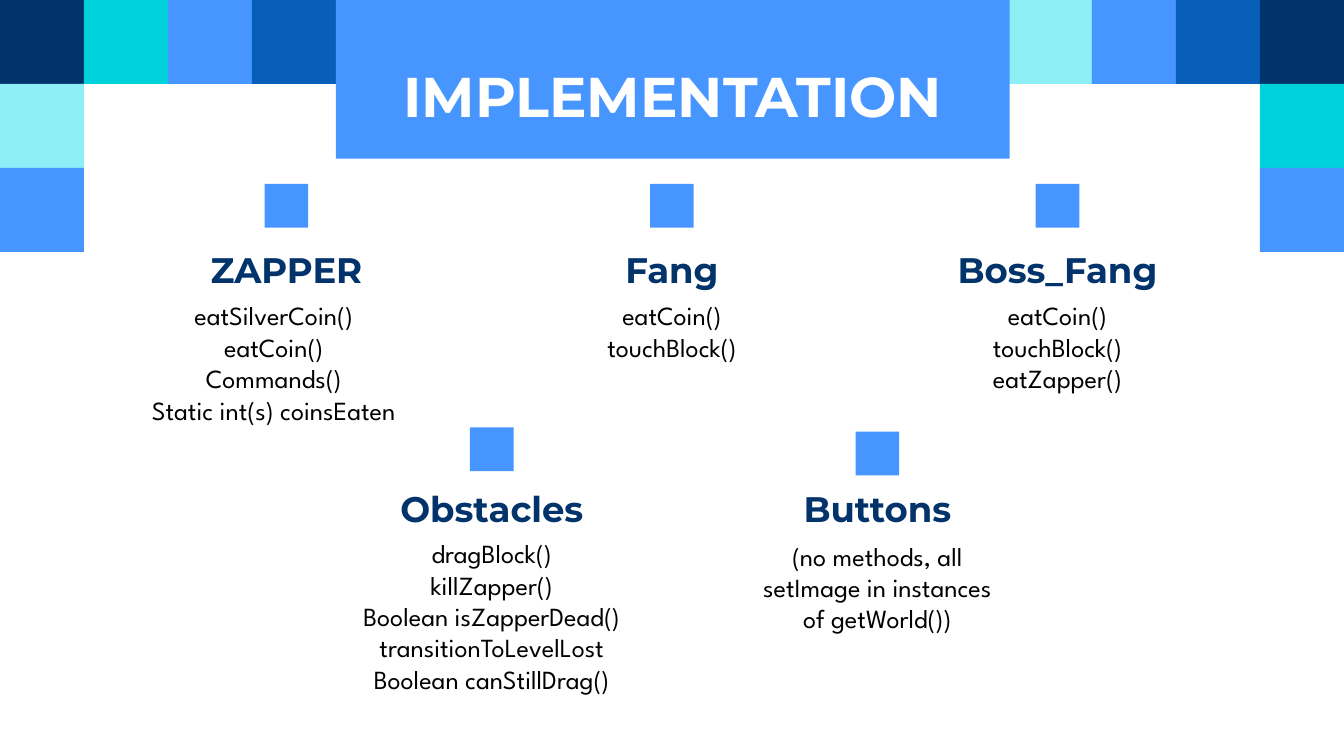
from dataclasses import dataclass

from pptx import Presentation
from pptx.dml.color import RGBColor
from pptx.enum.shapes import MSO_SHAPE
from pptx.enum.text import MSO_ANCHOR, PP_ALIGN
from pptx.util import Inches, Pt

RECTANGLE = MSO_SHAPE.RECTANGLE
CENTER = PP_ALIGN.CENTER
TOP, MIDDLE, BOTTOM = MSO_ANCHOR.TOP, MSO_ANCHOR.MIDDLE, MSO_ANCHOR.BOTTOM

# The page is a grid of 16 columns and 9 rows of square cells
COLUMNS, ROWS = 16, 9
CELL = 10 / COLUMNS

NAVY, TEAL, BLUE = "02336A", "00D2DC", "4796FF"
ROYAL, AQUA, WHITE, BLACK = "085FBA", "8DEEF5", "FFFFFF", "000000"

MARKER_SIZE = 0.52
HEADING_WIDTH, HEADING_HEIGHT = 3.12, 0.88
BLOCK_STEP = 4.59


@dataclass
class TextStyle:
    font: str
    size: float
    color: str
    bold: bool = False


@dataclass
class Block:
    center: float
    marker_top: float
    heading_top: float
    body_top: float
    body_width: float
    body_height: float
    heading: str
    lines: list[str]
    body_shift: float = 0


TITLE = TextStyle("Montserrat", 30, WHITE, True)
HEADING = TextStyle("Montserrat", 19, NAVY, True)
BODY = TextStyle("League Spartan", 14, BLACK)

TOP_LEFT = [NAVY, TEAL, BLUE, ROYAL]
TOP_RIGHT = [AQUA, BLUE, ROYAL, NAVY]
LEFT_SIDE = [AQUA, BLUE]
RIGHT_SIDE = [TEAL, BLUE]

UPPER_CENTER, LOWER_CENTER = 8, 8.15
BLOCKS = [
    Block(UPPER_CENTER - BLOCK_STEP, 2.19, 2.74, 3.41, 3.62, 1.65, "ZAPPER",
          ["eatSilverCoin()", "eatCoin()", "Commands()", "Static int(s) coinsEaten"],
          body_shift=-0.15),
    Block(UPPER_CENTER, 2.19, 2.74, 3.41, 3.3, 1.04, "Fang",
          ["eatCoin()", "touchBlock()"]),
    Block(UPPER_CENTER + BLOCK_STEP, 2.19, 2.74, 3.41, 3.3, 1.34, "Boss_Fang",
          ["eatCoin()", "touchBlock()", "eatZapper()"]),
    Block(LOWER_CENTER - BLOCK_STEP / 2, 5.09, 5.58, 6.24, 3.92, 2.26, "Obstacles",
          ["dragBlock()", "killZapper()", "Boolean isZapperDead()",
           "transitionToLevelLost", "Boolean canStillDrag()"]),
    Block(LOWER_CENTER + BLOCK_STEP / 2, 5.14, 5.58, 6.27, 3.3, 1.9, "Buttons",
          ["(no methods, all setImage in instances of getWorld())"]),
]


def rgb(value: str) -> RGBColor:
    return RGBColor.from_string(value)


def cells(*counts: float) -> list[int]:
    return [Inches(count * CELL) for count in counts]


def add_block_fill(page, column: float, row: float, width: float, height: float, color: str):
    box = page.shapes.add_shape(RECTANGLE, *cells(column, row, width, height))
    box.shadow.inherit = False
    box.fill.solid()
    box.fill.fore_color.rgb = rgb(color)
    box.line.fill.background()
    return box


def write(box, lines: list[str], style: TextStyle, anchor, top: float = 0.1, bottom: float = 0.1) -> None:
    frame = box.text_frame
    frame.word_wrap = True
    frame.vertical_anchor = anchor
    frame.margin_left = frame.margin_right = Inches(0.1)
    frame.margin_top, frame.margin_bottom = Inches(top), Inches(bottom)
    for index, line in enumerate(lines):
        para = frame.add_paragraph() if index else frame.paragraphs[0]
        para.alignment = CENTER
        span = para.add_run()
        span.text = line
        span.font.name = style.font
        span.font.size = Pt(style.size)
        span.font.bold = style.bold
        span.font.color.rgb = rgb(style.color)


def add_text(page, center: float, row: float, width: float, height: float,
             lines: list[str], style: TextStyle, anchor) -> None:
    box = page.shapes.add_textbox(*cells(center - width / 2, row, width, height))
    write(box, lines, style, anchor)


def add_border(page) -> None:
    for offset, color in enumerate(TOP_LEFT):
        add_block_fill(page, offset, 0, 1, 1, color)
    for offset, color in enumerate(TOP_RIGHT):
        add_block_fill(page, COLUMNS - len(TOP_RIGHT) + offset, 0, 1, 1, color)
    for column, colors in ((0, LEFT_SIDE), (COLUMNS - 1, RIGHT_SIDE)):
        for row, color in enumerate(colors, start=1):
            add_block_fill(page, column, row, 1, 1, color)


def add_class_block(page, block: Block) -> None:
    add_block_fill(page, block.center - MARKER_SIZE / 2, block.marker_top,
                   MARKER_SIZE, MARKER_SIZE, BLUE)
    add_text(page, block.center, block.heading_top, HEADING_WIDTH, HEADING_HEIGHT,
             [block.heading], HEADING, BOTTOM)
    add_text(page, block.center + block.body_shift, block.body_top,
             block.body_width, block.body_height, block.lines, BODY, TOP)


def main() -> None:
    deck = Presentation()
    deck.slide_width, deck.slide_height = cells(COLUMNS, ROWS)
    page = deck.slides.add_slide(deck.slide_layouts[6])

    # Coloured squares along the edges
    add_border(page)

    # Title banner
    banner = add_block_fill(page, 4, -0.11, 8.02, 2, BLUE)
    write(banner, ["IMPLEMENTATION"], TITLE, MIDDLE, top=0.3, bottom=0)

    # Classes with their methods
    for block in BLOCKS:
        add_class_block(page, block)

    deck.save("out.pptx")


if __name__ == "__main__":
    main()
